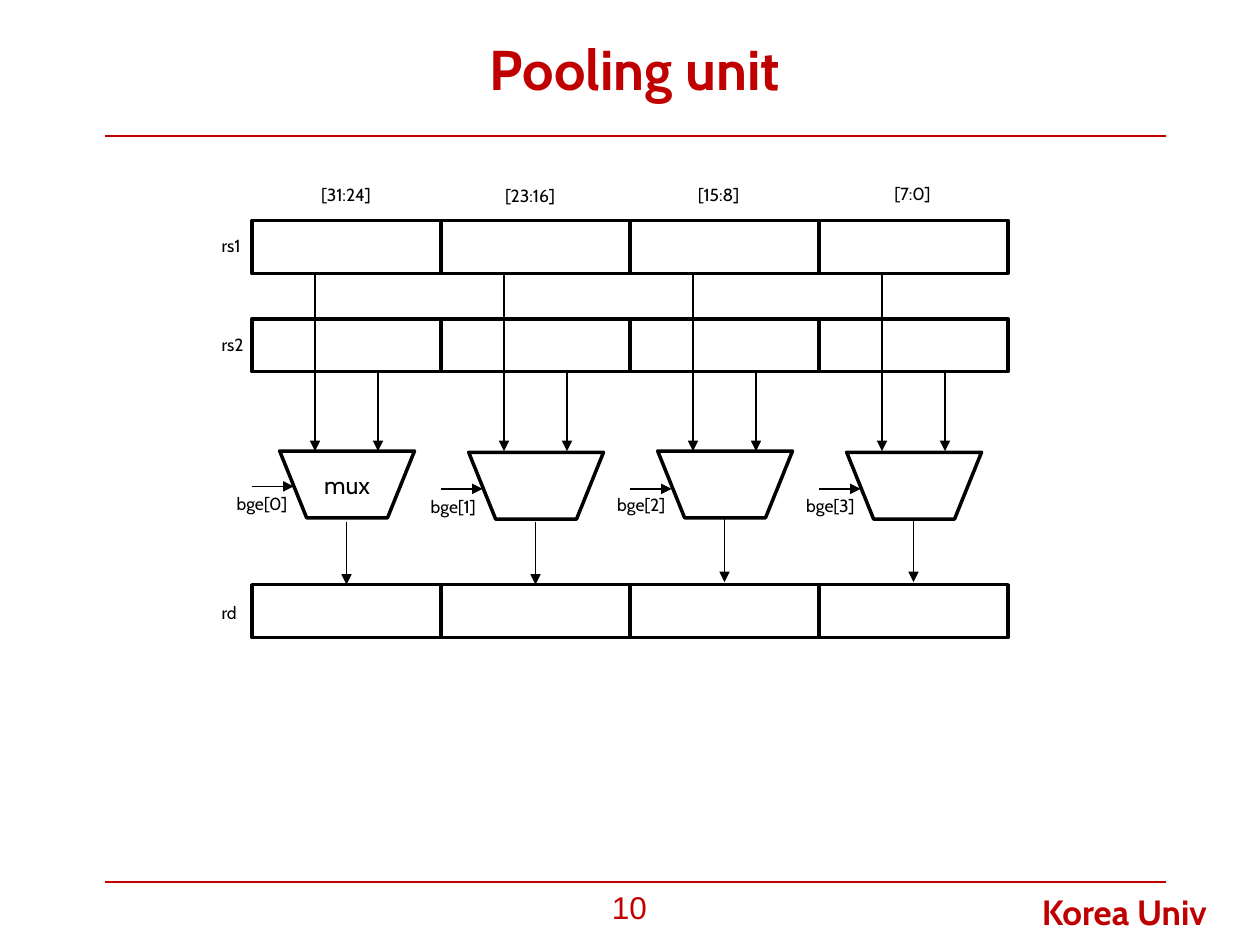
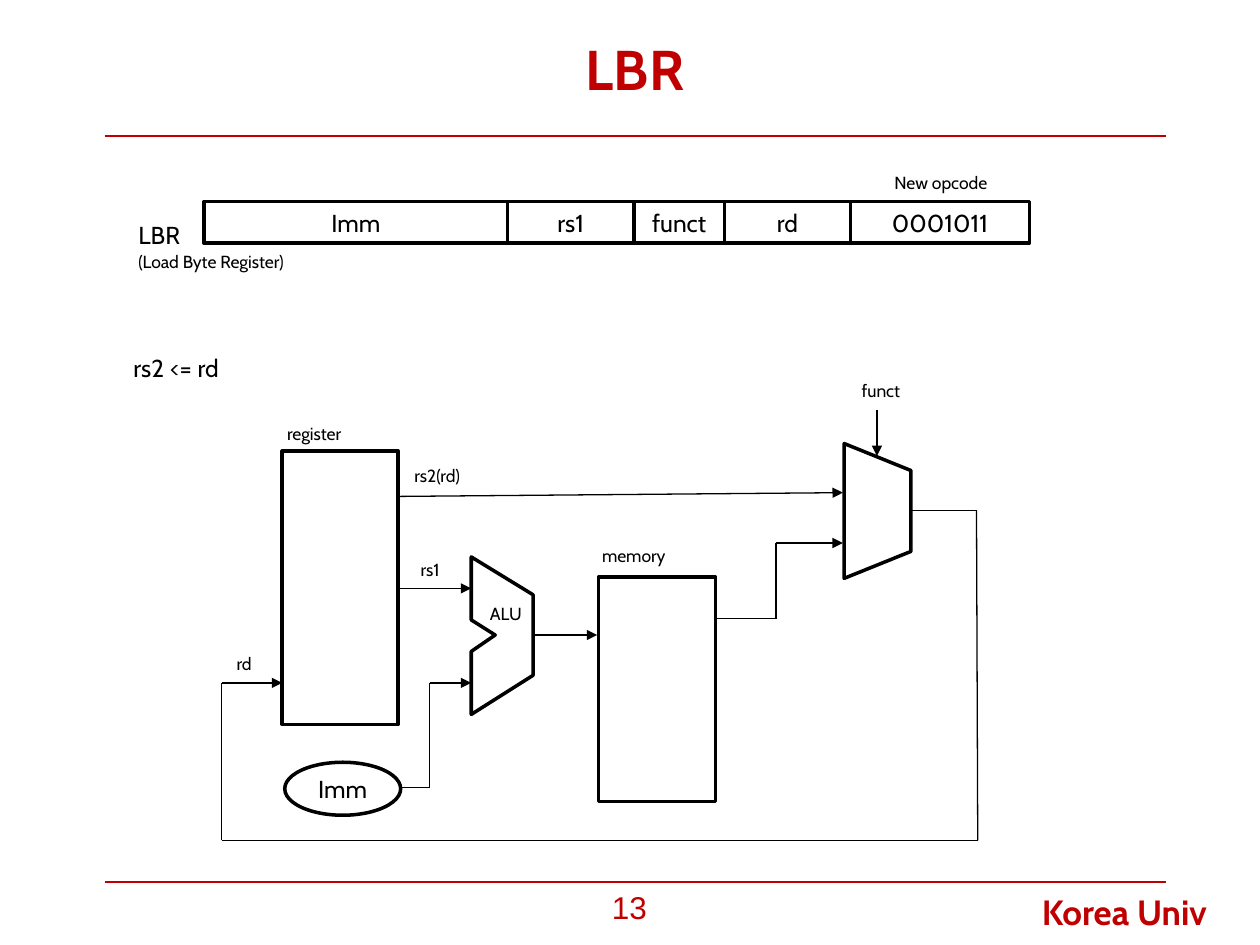
from itertools import pairwise

from lxml.etree import SubElement
from pptx import Presentation
from pptx.dml.color import RGBColor
from pptx.enum.shapes import MSO_CONNECTOR, MSO_SHAPE as SHAPE
from pptx.enum.text import MSO_ANCHOR as ANCHOR, PP_ALIGN as ALIGN
from pptx.oxml.ns import qn
from pptx.util import Pt

PX = 9144  # EMU in one px, at 100 px to the inch
RED, BLACK, WHITE = "C00000", "000000", "FFFFFF"
MUX = SHAPE.FLOWCHART_MANUAL_OPERATION
MUX_SIZE = (107, 53)
LANE_LEFT, LANE_WIDTH, REGISTER_HEIGHT = 200, 150, 42


def color(code):
    return RGBColor.from_string(code)


def px(*lengths):
    return [length * PX for length in lengths]


def write(frame, text, size=10, font="Cabin", ink=BLACK, bold=False,
          align=ALIGN.LEFT, anchor=ANCHOR.TOP):
    """Fill a text frame, one paragraph per line of text."""
    frame.word_wrap = True
    frame.vertical_anchor = anchor
    for index, line in enumerate(text.split("\n")):
        para = frame.add_paragraph() if index else frame.paragraphs[0]
        para.alignment = align
        span = para.add_run()
        span.text = line
        span.font.size = Pt(size)
        span.font.name = font
        span.font.bold = bold
        span.font.color.rgb = color(ink)


class Diagram:
    """Holds the deck, its shared style and the current slide."""

    def __init__(self):
        self.deck = Presentation()
        self.deck.slide_width, self.deck.slide_height = px(1000, 750)
        self.page = None

    def add_page(self, title, number):
        self.page = self.deck.slides.add_slide(self.deck.slide_layouts[6])
        for y in (108, 700):
            self.wire((83, y), (925, y), ink=RED, weight=1.5, arrow=False)
        self.label(817, 702, "Korea Univ", 174, 44, size=20, ink=RED, bold=True)
        self.label(83, 8, title, 842, 92, size=32, ink=RED, bold=True,
                   align=ALIGN.CENTER, anchor=ANCHOR.MIDDLE)
        self.label(412, 700, number, 175, 50, size=18, font="Arial", ink=RED,
                   align=ALIGN.CENTER)

    def label(self, x, y, text, width=68, height=24, **style):
        box = self.page.shapes.add_textbox(*px(x, y, width, height))
        write(box.text_frame, text, **style)

    def outline(self, shape):
        """Give a shape the white fill and heavy black edge of a block."""
        shape.shadow.inherit = False
        shape.fill.solid()
        shape.fill.fore_color.rgb = color(WHITE)
        shape.line.color.rgb = color(BLACK)
        shape.line.width = Pt(2)

    def block(self, x, y, width, height, text="", kind=SHAPE.RECTANGLE, turn=0):
        shape = self.page.shapes.add_shape(kind, *px(x, y, width, height))
        self.outline(shape)
        shape.rotation = turn
        if text:
            write(shape.text_frame, text, size=14, align=ALIGN.CENTER,
                  anchor=ANCHOR.MIDDLE)

    def polygon(self, start, *corners):
        builder = self.page.shapes.build_freeform(*start, scale=PX)
        builder.add_line_segments(corners, close=True)
        self.outline(builder.convert_to_shape())

    def wire(self, *points, ink=BLACK, weight=0.75, arrow=True):
        """Join the points with straight lines, the last one with an arrowhead."""
        for begin, end in pairwise(points):
            line = self.page.shapes.add_connector(
                MSO_CONNECTOR.STRAIGHT, *px(*begin, *end))
            line.line.color.rgb = color(ink)
            line.line.width = Pt(weight)
            properties = line._element.spPr
            SubElement(properties, qn("a:effectLst"))
        if arrow:
            SubElement(properties.find(qn("a:ln")), qn("a:tailEnd"), type="triangle")


def pooling_unit(diagram):
    diagram.add_page("Pooling unit", "10")
    lanes = [LANE_LEFT + LANE_WIDTH * index for index in range(4)]
    registers = (("rs1", 175, 182), ("rs2", 253, 260), ("rd", 464, 473))
    for name, top, label_top in registers:
        for left in lanes:
            diagram.block(left, top, LANE_WIDTH, REGISTER_HEIGHT)
        diagram.label(166, label_top, name)

    # mux top, mux text, select arrow y, output arrow y, bits and bge label places
    details = (
        (358, "mux", 386, 414, "[31:24]", (245, 141), (178, 386)),
        (359, "", 388, 414, "[23:16]", (391, 142), (332, 389)),
        (358, "", 388, 412, "[15:8]", (544, 141), (480, 387)),
        (359, "", 388, 412, "[7:0]", (700, 140), (630, 388)),
    )
    for index, (left, detail) in enumerate(zip(lanes, details)):
        top, text, select, output, bits, bits_place, bge_place = detail
        diagram.wire((left + 50, 217), (left + 50, 358))
        diagram.wire((left + 100, 295), (left + 100, 358))
        diagram.block(left + 22, top, *MUX_SIZE, text, kind=MUX)
        diagram.wire((left + 75, output), (left + 75, output + 50))
        diagram.wire((left, select), (left + 33, select))
        diagram.label(*bits_place, bits)
        diagram.label(*bge_place, f"bge[{index}]")


def load_byte_register(diagram):
    diagram.add_page("LBR", "13")
    left = 162
    fields = (("Imm", 241), ("rs1", 100), ("funct", 72), ("rd", 100),
              ("0001011", 142))
    for name, width in fields:
        diagram.block(left, 160, width, 33, name)
        left += width
    diagram.label(700, 132, "New opcode", 108)
    diagram.label(100, 170, "LBR", 185, 30, size=14)
    diagram.label(100, 194, "(Load Byte Register)", 185)
    diagram.label(96, 275, "rs2 <= rd", 115, 52, size=14)

    diagram.block(224, 358, 92, 217)
    diagram.polygon((423, 472), (423, 536), (374, 567), (374, 517), (393, 504),
                    (374, 492), (374, 442))
    diagram.block(226, 605, 92, 42, "Imm", kind=SHAPE.OVAL)
    diagram.block(475, 458, 93, 178)
    diagram.wire((317, 467), (374, 467))
    diagram.wire((317, 625), (341, 625), (341, 542), (374, 542))
    diagram.wire((317, 394), (669, 391))
    diagram.wire((423, 504), (474, 504))
    diagram.wire((569, 491), (616, 491), (616, 431), (669, 431))
    diagram.block(643, 379, *MUX_SIZE, kind=MUX, turn=270)
    diagram.wire((696, 325), (696, 362))
    diagram.wire((722, 405), (775, 405), (776, 667), (176, 667), (176, 542),
                 (224, 542))

    names = (("register", 218, 331), ("ALU", 379, 474), ("rs1", 324, 439),
             ("rs2(rd)", 319, 364), ("memory", 468, 428), ("funct", 674, 297),
             ("rd", 178, 513))
    for name, x, y in names:
        diagram.label(x, y, name, 87, 27)


def main():
    diagram = Diagram()
    pooling_unit(diagram)
    load_byte_register(diagram)
    diagram.deck.save("out.pptx")


if __name__ == "__main__":
    main()
